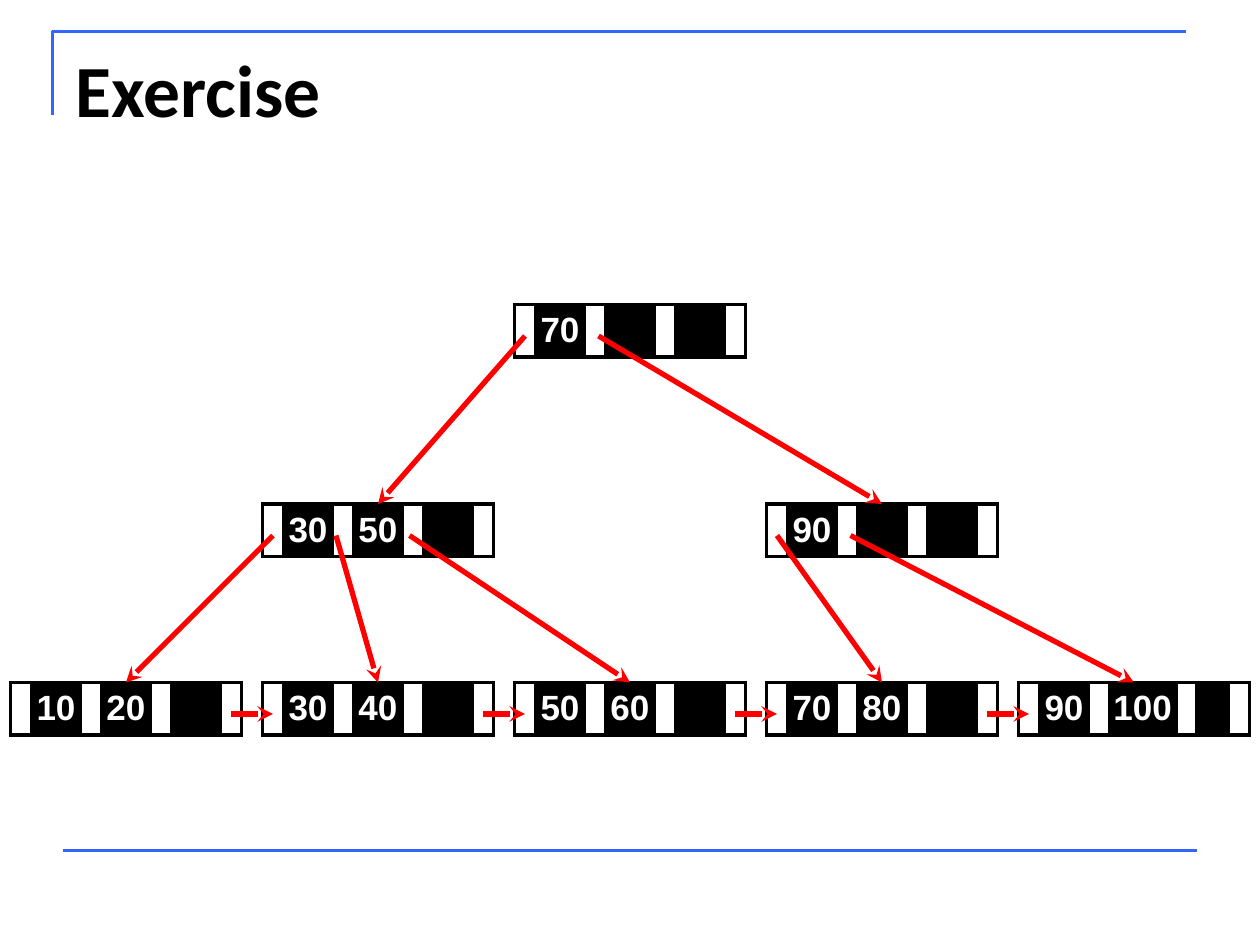
"""Build the B+ tree exercise slide."""
from dataclasses import dataclass

import lxml.etree
import pptx
import pptx.dml.color
import pptx.enum.shapes
import pptx.enum.text
import pptx.oxml.ns
import pptx.util

Pt = pptx.util.Pt
RGBColor = pptx.dml.color.RGBColor
qn = pptx.oxml.ns.qn


@dataclass(frozen=True)
class Theme:
    ink: RGBColor = RGBColor(0, 0, 0)
    paper: RGBColor = RGBColor(255, 255, 255)
    frame: RGBColor = RGBColor(0x33, 0x66, 0xFF)
    pointer: RGBColor = RGBColor(255, 0, 0)
    title_font: str = "Calibri"
    key_font: str = "Arial"
    title_size: float = 42
    key_size: float = 20
    frame_width: float = 1.5
    border_width: float = 2.25
    pointer_width: float = 3


@dataclass(frozen=True)
class Node:
    slot: float
    top: float
    keys: tuple[str, ...]
    key_widths: tuple[float, ...] = (28, 28, 28)

    @property
    def left(self) -> float:
        return FIRST_LEFT + self.slot * NODE_PITCH

    @property
    def widths(self) -> list[float]:
        widths = [POINTER_CELL]
        for key_width in self.key_widths:
            widths += [key_width, POINTER_CELL]
        return widths


@dataclass(frozen=True)
class Link:
    parent: Node
    offset: float
    child: Node


THEME = Theme()
FIRST_LEFT, NODE_PITCH = 6, 144
NODE_WIDTH, NODE_HEIGHT, POINTER_CELL = 132, 30, 12
POINTER_INSET, POINTER_DROP = 6, 18
ROOT_TOP, INNER_TOP, LEAF_TOP = 174, 288, 390

ROOT = Node(2, ROOT_TOP, ("70",))
LOW = Node(1, INNER_TOP, ("30", "50"))
HIGH = Node(3, INNER_TOP, ("90",))
LEAVES = [
    Node(0, LEAF_TOP, ("10", "20")),
    Node(1, LEAF_TOP, ("30", "40")),
    Node(2, LEAF_TOP, ("50", "60")),
    Node(3, LEAF_TOP, ("70", "80")),
    Node(4, LEAF_TOP, ("90", "100"), (28, 38, 18)),
]
LINKS = [
    Link(ROOT, POINTER_INSET, LOW),
    Link(ROOT, 48, HIGH),
    Link(LOW, POINTER_INSET, LEAVES[0]),
    Link(LOW, 42, LEAVES[1]),
    Link(LOW, 84, LEAVES[2]),
    Link(HIGH, POINTER_INSET, LEAVES[3]),
    Link(HIGH, 48, LEAVES[4]),
]


def add_run(paragraph, text: str, font: str, size: float, color: RGBColor) -> None:
    """Add one bold run to a paragraph."""
    run = paragraph.add_run()
    run.text = text
    run.font.name = font
    run.font.size = Pt(size)
    run.font.bold = True
    run.font.color.rgb = color


def add_line(slide, start: tuple[float, float], end: tuple[float, float],
             color: RGBColor, width: float, arrow: bool = False) -> None:
    """Draw a straight line, with an arrowhead at its end if asked."""
    connector = slide.shapes.add_connector(
        pptx.enum.shapes.MSO_CONNECTOR.STRAIGHT, *map(Pt, start + end))
    connector.line.color.rgb = color
    connector.line.width = Pt(width)
    properties = connector._element.spPr
    if arrow:
        outline = properties.find(qn("a:ln"))
        lxml.etree.SubElement(outline, qn("a:tailEnd"), type="stealth")
    lxml.etree.SubElement(properties, qn("a:effectLst"))


def add_arrow(slide, start: tuple[float, float], end: tuple[float, float]) -> None:
    """Draw a tree pointer."""
    add_line(slide, start, end, THEME.pointer, THEME.pointer_width, arrow=True)


def add_borders(cell) -> None:
    """Give a cell a solid border on all four sides."""
    properties = cell._tc.get_or_add_tcPr()
    for side in ("lnL", "lnR", "lnT", "lnB"):
        border = lxml.etree.SubElement(
            properties, qn(f"a:{side}"), w=str(Pt(THEME.border_width)))
        fill = lxml.etree.SubElement(border, qn("a:solidFill"))
        lxml.etree.SubElement(fill, qn("a:srgbClr"), val=str(THEME.ink))


def add_node(slide, node: Node) -> None:
    """Draw a node as a one-row table of pointer and key cells."""
    table = slide.shapes.add_table(
        1, len(node.widths), Pt(node.left), Pt(node.top),
        Pt(NODE_WIDTH), Pt(NODE_HEIGHT)).table
    table.first_row = table.horz_banding = False
    for index, width in enumerate(node.widths):
        table.columns[index].width = Pt(width)
        cell = table.cell(0, index)
        cell.margin_left = cell.margin_right = 0
        cell.margin_top = cell.margin_bottom = 0
        cell.vertical_anchor = pptx.enum.text.MSO_ANCHOR.MIDDLE
        add_borders(cell)
        key_index, is_key = divmod(index, 2)
        if not is_key:
            cell.fill.background()
            continue
        cell.fill.solid()
        cell.fill.fore_color.rgb = THEME.ink
        if key_index < len(node.keys):
            paragraph = cell.text_frame.paragraphs[0]
            paragraph.alignment = pptx.enum.text.PP_ALIGN.CENTER
            add_run(paragraph, node.keys[key_index], THEME.key_font,
                    THEME.key_size, THEME.paper)


def add_frame(slide) -> None:
    """Draw the corner rule at the top and the line at the foot."""
    builder = slide.shapes.build_freeform(Pt(30), Pt(66))
    builder.add_line_segments([(Pt(30), Pt(18)), (Pt(678), Pt(18))], close=False)
    corner = builder.convert_to_shape()
    corner.shadow.inherit = False
    corner.fill.background()
    corner.line.color.rgb = THEME.frame
    corner.line.width = Pt(THEME.frame_width)
    add_line(slide, (36, 486), (684, 486), THEME.frame, THEME.frame_width)


def add_title(slide, text: str) -> None:
    """Place and fill the title placeholder."""
    title = slide.shapes.title
    title.left, title.top, title.width, title.height = map(Pt, (36, 21.6, 648, 90))
    title.text_frame.vertical_anchor = pptx.enum.text.MSO_ANCHOR.TOP
    paragraph = title.text_frame.paragraphs[0]
    paragraph.alignment = pptx.enum.text.PP_ALIGN.LEFT
    add_run(paragraph, text, THEME.title_font, THEME.title_size, THEME.ink)


def main() -> None:
    """Assemble and save the slide."""
    presentation = pptx.Presentation()
    presentation.slide_width, presentation.slide_height = Pt(720), Pt(540)
    slide = presentation.slides.add_slide(presentation.slide_layouts[5])
    add_frame(slide)
    add_title(slide, "Exercise")
    for node in [ROOT, LOW, HIGH, *LEAVES]:
        add_node(slide, node)
    for link in LINKS:
        add_arrow(slide,
                  (link.parent.left + link.offset, link.parent.top + POINTER_DROP),
                  (link.child.left + NODE_WIDTH / 2, link.child.top))
    for leaf, sibling in zip(LEAVES, LEAVES[1:]):
        height = LEAF_TOP + POINTER_DROP
        add_arrow(slide, (leaf.left + NODE_WIDTH - POINTER_INSET, height),
                  (sibling.left + POINTER_INSET, height))
    presentation.save("out.pptx")


if __name__ == "__main__":
    main()
